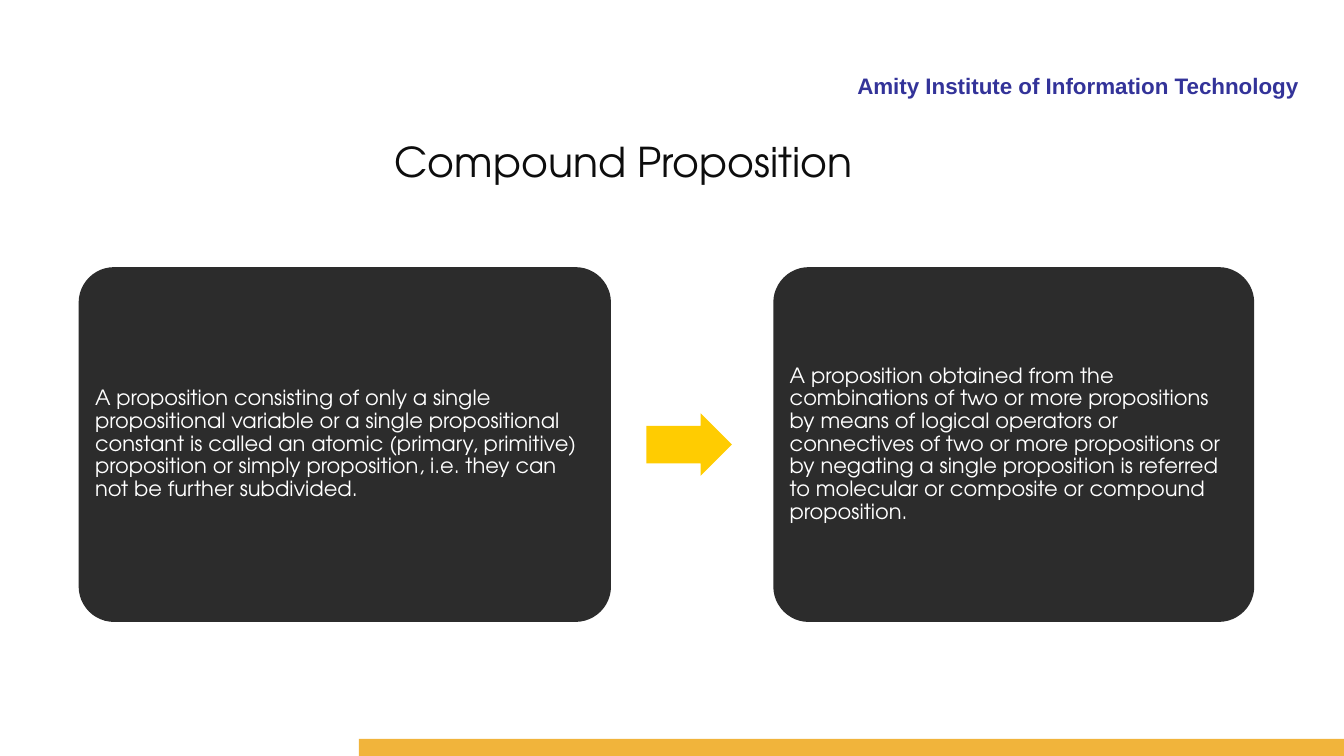
from dataclasses import dataclass

from pptx import Presentation
from pptx.dml.color import RGBColor
from pptx.enum.shapes import MSO_SHAPE
from pptx.enum.text import MSO_ANCHOR, PP_ALIGN
from pptx.shapes.autoshape import Shape
from pptx.slide import Slide
from pptx.text.text import TextFrame
from pptx.util import Emu, Pt

EMU_PER_PX = 9144
SLIDE_WIDTH, SLIDE_HEIGHT = 1333, 750

RECTANGLE = MSO_SHAPE.RECTANGLE
ROUNDED = MSO_SHAPE.ROUNDED_RECTANGLE
RIGHT_ARROW = MSO_SHAPE.RIGHT_ARROW
MIDDLE = MSO_ANCHOR.MIDDLE
LEFT, RIGHT = PP_ALIGN.LEFT, PP_ALIGN.RIGHT

NAVY = RGBColor(0x33, 0x33, 0x99)
AMBER = RGBColor(0xF1, 0xB4, 0x3B)
YELLOW = RGBColor(0xFF, 0xCC, 0x01)
CHARCOAL = RGBColor(0x2C, 0x2C, 0x2C)
INK = RGBColor(0x0D, 0x0D, 0x0D)
WHITE = RGBColor(0xFF, 0xFF, 0xFF)

HEADER_FONT = "Arial"
BODY_FONT = "TeX Gyre Adventor"

CARD_TOP, CARD_HEIGHT = 265, 352
CARD_INSET = 6


@dataclass(frozen=True)
class Box:
    left: int
    top: int
    width: int
    height: int

    def emu(self) -> tuple[Emu, Emu, Emu, Emu]:
        return px(self.left), px(self.top), px(self.width), px(self.height)


@dataclass(frozen=True)
class TextStyle:
    font: str
    size: float
    color: RGBColor
    bold: bool = False
    align: PP_ALIGN = LEFT


@dataclass(frozen=True)
class Card:
    left: int
    width: int
    definition: str


HEADER_STYLE = TextStyle(HEADER_FONT, 16, NAVY, True, RIGHT)
TITLE_STYLE = TextStyle(BODY_FONT, 29.3, INK)
DEFINITION_STYLE = TextStyle(BODY_FONT, 15, WHITE)

CARDS = [
    Card(
        78,
        528,
        "A proposition consisting of only a single propositional variable or a "
        "single propositional constant is called an atomic (primary, primitive) "
        "proposition or simply proposition, i.e. they can not be further subdivided.",
    ),
    Card(
        767,
        477,
        "A proposition obtained from the combinations of two or more propositions "
        "by means of logical operators or connectives of two or more propositions "
        "or by negating a single proposition is referred to molecular or composite "
        "or compound proposition.",
    ),
]


def px(length: int) -> Emu:
    return Emu(length * EMU_PER_PX)


def write(frame: TextFrame, text: str, style: TextStyle) -> None:
    frame.text = text
    paragraph = frame.paragraphs[0]
    paragraph.alignment = style.align
    font = paragraph.runs[0].font
    font.name = style.font
    font.size = Pt(style.size)
    font.bold = style.bold
    font.color.rgb = style.color


def add_label(slide: Slide, box: Box, text: str, style: TextStyle, wrap: bool) -> None:
    frame = slide.shapes.add_textbox(*box.emu()).text_frame
    frame.word_wrap = wrap
    write(frame, text, style)


def add_block(slide: Slide, kind: MSO_SHAPE, box: Box, color: RGBColor) -> Shape:
    block = slide.shapes.add_shape(kind, *box.emu())
    block.shadow.inherit = False
    block.fill.solid()
    block.fill.fore_color.rgb = color
    block.line.fill.background()
    return block


def add_card(slide: Slide, card: Card) -> None:
    box = Box(card.left, CARD_TOP, card.width, CARD_HEIGHT)
    panel = add_block(slide, ROUNDED, box, CHARCOAL)
    panel.adjustments[0] = 0.1
    frame = panel.text_frame
    frame.word_wrap = True
    frame.vertical_anchor = MIDDLE
    frame.margin_left = frame.margin_right = px(CARD_INSET)
    frame.margin_top = frame.margin_bottom = px(CARD_INSET)
    write(frame, card.definition, DEFINITION_STYLE)
    frame.paragraphs[0].line_spacing = 0.9


def main() -> None:
    presentation = Presentation()
    presentation.slide_width = px(SLIDE_WIDTH)
    presentation.slide_height = px(SLIDE_HEIGHT)
    slide = presentation.slides.add_slide(presentation.slide_layouts[6])

    add_label(
        slide,
        Box(509, 67, 789, 33),
        "Amity Institute of Information Technology",
        HEADER_STYLE,
        True,
    )
    add_block(slide, RECTANGLE, Box(356, 733, SLIDE_WIDTH - 356, 17), AMBER)
    add_label(slide, Box(381, 130, 481, 59), "Compound Proposition", TITLE_STYLE, False)

    for card in CARDS:
        add_card(slide, card)

    arrow = add_block(slide, RIGHT_ARROW, Box(641, 410, 85, 62), YELLOW)
    arrow.adjustments[0] = 0.6
    arrow.adjustments[1] = 0.5

    presentation.save("out.pptx")


if __name__ == "__main__":
    main()
